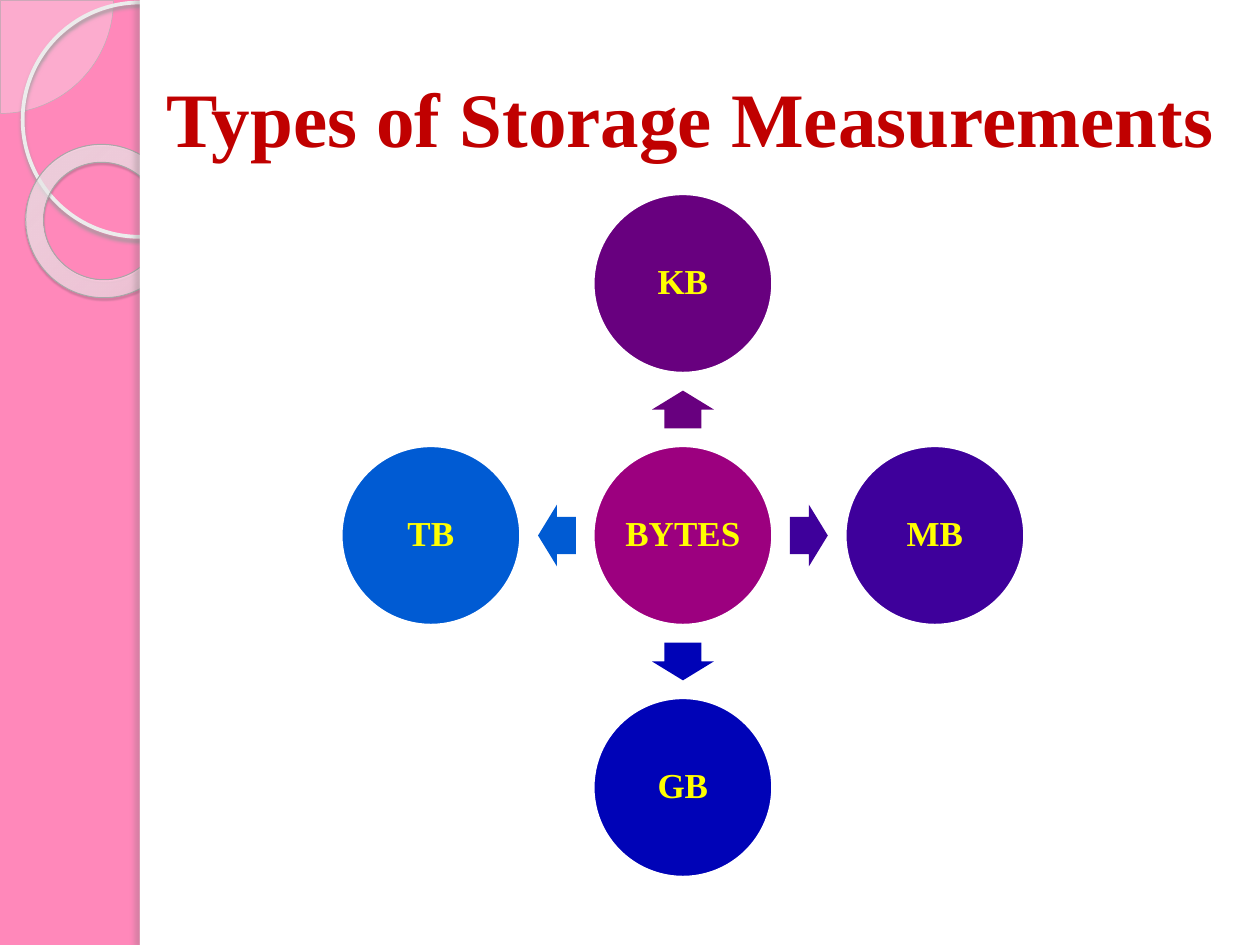
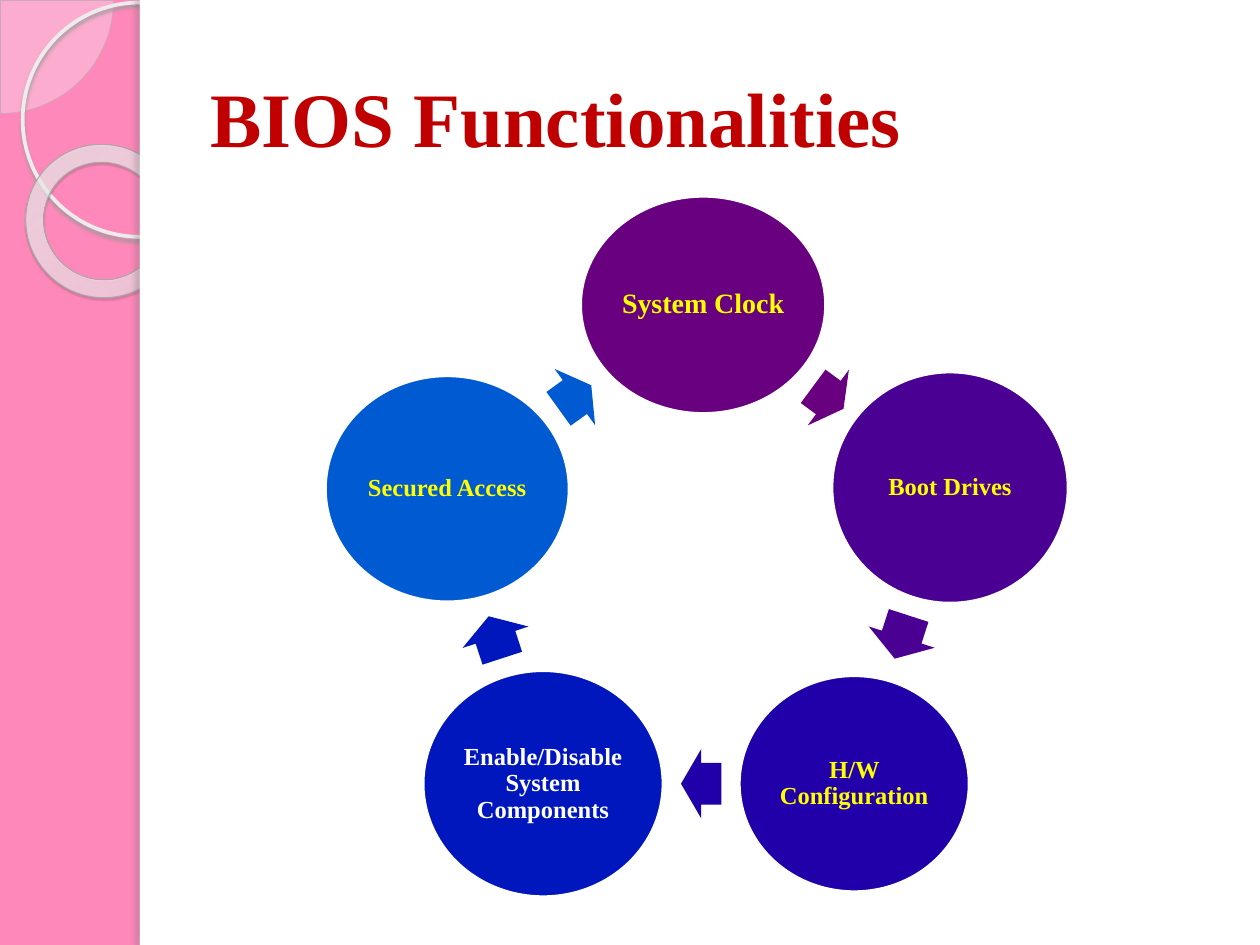
from math import atan2, cos, degrees, hypot, radians, sin

from lxml import etree
from pptx import Presentation
from pptx.dml.color import RGBColor
from pptx.enum.shapes import MSO_SHAPE as Shape
from pptx.enum.text import MSO_ANCHOR as Anchor, PP_ALIGN as Align
from pptx.oxml import parse_xml
from pptx.oxml.ns import nsdecls, qn
from pptx.util import Inches, Pt

FONT = "Times New Roman"
PINK, WHITE, RED, YELLOW = "FF88BA", "FFFFFF", "C00000", "FFFF00"
PURPLE, BLUE = "68007F", "005BD3"
RING_STOPS = [(0, "FAFAFA", 70), (70, "FDFDFD", 55), (100, "B9B9B9", 60)]


def rgb(value):
    return RGBColor.from_string(value)


def add_alpha(color_element, percent):
    etree.SubElement(color_element, qn("a:alpha"), val=str(percent * 1000))


class Deck:
    """Holds the shared style and the slide being built."""

    def __init__(self):
        self.prs = Presentation()
        self.prs.slide_width, self.prs.slide_height = Inches(10), Inches(7.5)
        self.slide = None

    def new_slide(self, title, title_left):
        self.slide = self.prs.slides.add_slide(self.prs.slide_layouts[6])
        background = self.slide.background.fill
        background.solid()
        background.fore_color.rgb = rgb(PINK)
        self.side_band()
        self.title(title, title_left)

    def shape(self, kind, left, top, width, height, fill=None, line=None,
              line_width=0, rotation=0, adjust=()):
        item = self.slide.shapes.add_shape(
            kind, Inches(left), Inches(top), Inches(width), Inches(height))
        item.shadow.inherit = False
        item.rotation = rotation
        for index, value in enumerate(adjust):
            item.adjustments[index] = value
        if fill:
            item.fill.solid()
            item.fill.fore_color.rgb = rgb(fill)
        else:
            item.fill.background()
        if line:
            item.line.color.rgb = rgb(line)
            item.line.width = Pt(line_width)
        else:
            item.line.fill.background()
        return item

    def shadow(self, item, color, opacity, blur, distance, angle):
        effects = item._element.spPr.find(qn("a:effectLst"))
        outer = etree.SubElement(
            effects, qn("a:outerShdw"), blurRad=str(Pt(blur)),
            dist=str(Pt(distance)), dir=str(angle * 60000), rotWithShape="0")
        add_alpha(etree.SubElement(outer, qn("a:srgbClr"), val=color), opacity)

    def ring_gradient(self, item):
        gradient = parse_xml(
            f'<a:gradFill {nsdecls("a")}><a:gsLst/><a:path path="circle">'
            '<a:fillToRect l="-408000" t="-50000" r="508000" b="150000"/>'
            '</a:path></a:gradFill>')
        for position, color, opacity in RING_STOPS:
            stop = etree.SubElement(gradient[0], qn("a:gs"), pos=str(position * 1000))
            add_alpha(etree.SubElement(stop, qn("a:srgbClr"), val=color), opacity)
        properties = item._element.spPr
        properties.replace(properties.find(qn("a:noFill")), gradient)

    def side_band(self):
        # Corner disc and rings, cut off by the white page area
        corner = self.shape(Shape.PIE, -0.89, -0.89, 1.79, 1.79, "F8F8F8",
                            "B4B4B4", 0.25, adjust=(0, 54.02))
        add_alpha(corner._element.spPr.find(qn("a:solidFill"))[0], 33)
        thin_ring = self.shape(Shape.OVAL, 0.18, 0.02, 1.86, 1.86,
                               line="ECECEC", line_width=2.15)
        self.shadow(thin_ring, "9B9B9B", 85, 2, 2, 90)
        thick_ring = self.shape(Shape.DONUT, 0.2, 1.15, 1.23, 1.21, None,
                                "A8A8A8", 0.58, 38.6, (0.118,))
        self.ring_gradient(thick_ring)
        self.shadow(thick_ring, "4D4D4D", 35, 1, 1.2, 75)
        # White page area and its shaded edge
        self.shape(Shape.RECTANGLE, 1.11, 0, 8.89, 7.5, WHITE)
        edge = self.shape(Shape.RECTANGLE, 1.11, 0, 0.08, 7.5, WHITE)
        self.shadow(edge, "686868", 25, 3, 3, 180)

    def label(self, frame, text, size, color):
        frame.word_wrap = True
        frame.vertical_anchor = Anchor.MIDDLE
        frame.text = text
        font = frame.paragraphs[0].runs[0].font
        font.name, font.size, font.bold = FONT, Pt(size), True
        font.color.rgb = rgb(color)

    def title(self, text, left):
        box = self.slide.shapes.add_textbox(
            Inches(left), Inches(0.3), Inches(9.77 - left), Inches(1.25))
        self.label(box.text_frame, text, 44, RED)

    def bubble(self, text, x, y, width, height, fill, size, color=YELLOW, inset=0.02):
        """An ellipse centred on (x, y) with a centred label."""
        oval = self.shape(Shape.OVAL, x - width / 2, y - height / 2,
                          width, height, fill, WHITE, 2)
        frame = oval.text_frame
        frame.margin_left = frame.margin_right = Inches(inset)
        frame.margin_top = frame.margin_bottom = Inches(inset)
        self.label(frame, text, size, color)
        frame.paragraphs[0].alignment = Align.CENTER
        frame.paragraphs[0].line_spacing = 0.9

    def arrow(self, x, y, length, breadth, angle, fill):
        """A block arrow centred on (x, y), turned clockwise by angle."""
        self.shape(Shape.RIGHT_ARROW, x - length / 2, y - breadth / 2,
                   length, breadth, fill, rotation=angle % 360, adjust=(0.6, 0.5))


def storage_slide(deck):
    deck.new_slide("Types of Storage Measurements", 1.22)
    hub_x, hub_y, diameter, spoke = 5.42, 4.25, 1.43, 2.0
    units = [("KB", 270, PURPLE), ("MB", 0, "3E009B"),
             ("GB", 90, "0003B7"), ("TB", 180, BLUE)]
    deck.bubble("BYTES", hub_x, hub_y, diameter, diameter, "9C007F", 20, inset=0.03)
    for unit, angle, fill in units:
        dx, dy = cos(radians(angle)), sin(radians(angle))
        deck.arrow(hub_x + dx * spoke / 2, hub_y + dy * spoke / 2,
                   0.3, 0.49, angle, fill)
        deck.bubble(unit, hub_x + dx * spoke, hub_y + dy * spoke,
                    diameter, diameter, fill, 20, inset=0.03)


def bios_slide(deck):
    deck.new_slide("BIOS Functionalities", 1.57)
    # Label, centre, width, height, fill, text size, text colour, next arrow's length
    steps = [
        ("System Clock", 5.58, 2.42, 1.95, 1.73, PURPLE, 16, YELLOW, 0.3),
        ("Boot Drives", 7.54, 3.87, 1.88, 1.84, "4B0094", 14, YELLOW, 0.36),
        ("H/W Configuration", 6.78, 6.22, 1.83, 1.72, "2100A9", 14, YELLOW, 0.32),
        ("Enable/Disable System Components", 4.31, 6.22, 1.91, 1.8, "0017BE",
         14, WHITE, 0.35),
        ("Secured Access", 3.55, 3.88, 1.94, 1.8, BLUE, 14, YELLOW, 0.32),
    ]
    for step, following in zip(steps, steps[1:] + steps[:1]):
        *bubble, arrow_length = step
        deck.bubble(*bubble)
        # The arrow sits halfway between the two rims
        x, y, width, fill = step[1], step[2], step[3], step[5]
        dx, dy = following[1] - x, following[2] - y
        share = 0.5 + (width - following[3]) / 4 / hypot(dx, dy)
        deck.arrow(x + dx * share, y + dy * share, arrow_length, 0.55,
                   degrees(atan2(dy, dx)), fill)


def main():
    deck = Deck()
    storage_slide(deck)
    bios_slide(deck)
    deck.prs.save("out.pptx")


if __name__ == "__main__":
    main()
